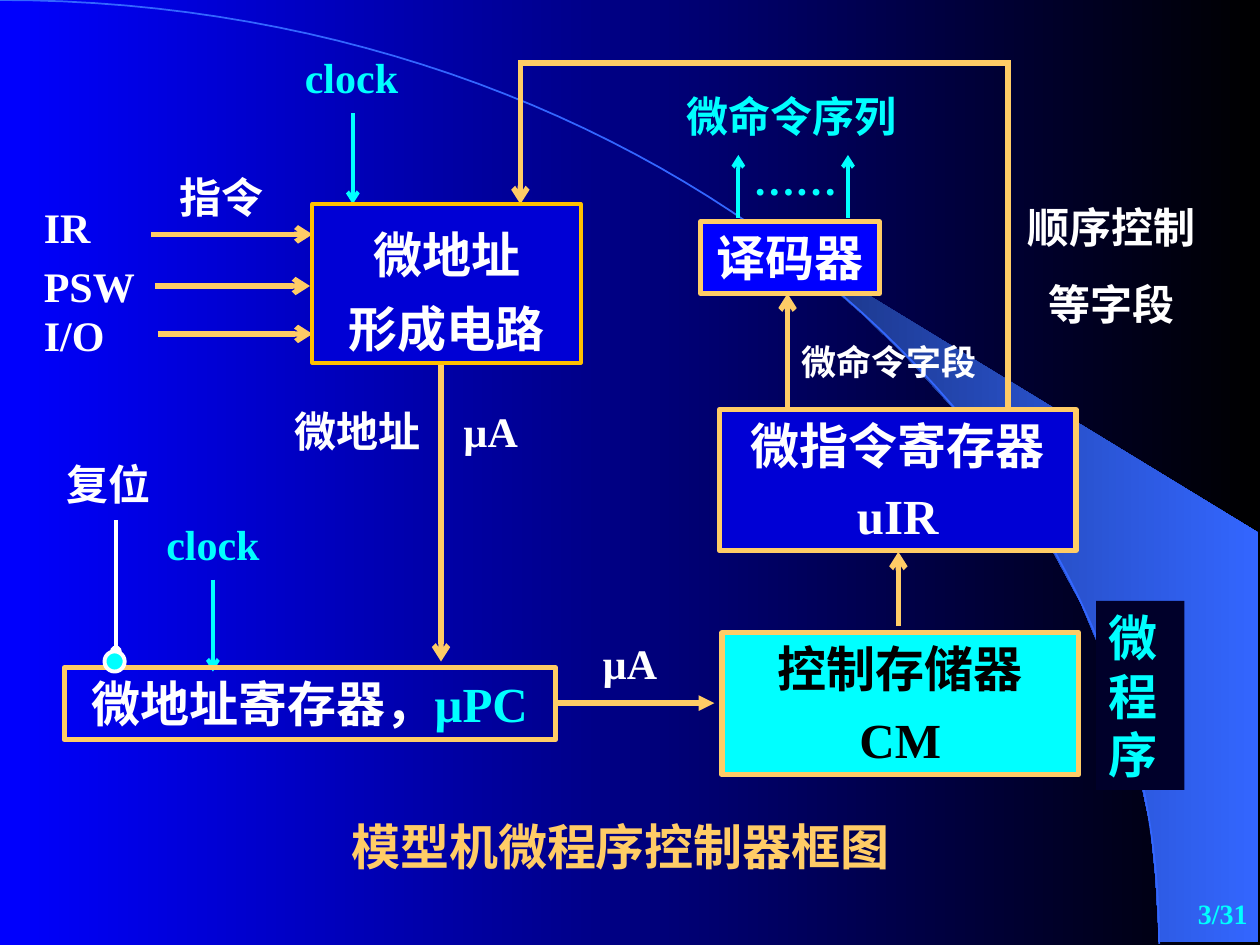
import pptx
import pptx.dml.color
import pptx.enum.shapes
import pptx.enum.text
import pptx.oxml
import pptx.oxml.ns
import pptx.util
from pptx.util import Inches

GOLD, CYAN, WHITE, NAVY = "FFCC66", "00FFFF", "FFFFFF", "0000D5"
LATIN, CHINESE = "Times New Roman", "Noto Sans CJK SC"
LEFT, CENTER, RIGHT = (pptx.enum.text.PP_ALIGN.LEFT, pptx.enum.text.PP_ALIGN.CENTER,
                       pptx.enum.text.PP_ALIGN.RIGHT)
ANCHOR = pptx.enum.text.MSO_ANCHOR
SHAPE = pptx.enum.shapes.MSO_SHAPE


def color(value):
    return pptx.dml.color.RGBColor.from_string(value)


def write(box, paragraphs, size, align, gap=0, line_spacing=None, anchor=ANCHOR.TOP):
    """Fill a box with paragraphs, each a list of (text, color) spans."""
    frame = box.text_frame
    frame.word_wrap = True
    frame.vertical_anchor = anchor
    for index, spans in enumerate(paragraphs):
        para = frame.paragraphs[0] if index == 0 else frame.add_paragraph()
        layout = {"alignment": align, "line_spacing": line_spacing,
                  "space_before": pptx.util.Pt(gap if index else 0)}
        for name, value in layout.items():
            setattr(para, name, value)
        for text, text_color in spans:
            span = para.add_run()
            span.text = text
            chinese = any(ord(letter) > 0x2E80 for letter in text)
            style = {"name": CHINESE if chinese else LATIN,
                     "size": pptx.util.Pt(size), "bold": True}
            for name, value in style.items():
                setattr(span.font, name, value)
            span.font.color.rgb = color(text_color)
            if chinese:
                east_asian = pptx.oxml.parse_xml(
                    f'<a:ea {pptx.oxml.ns.nsdecls("a")} typeface="{CHINESE}"/>')
                span.font._element.append(east_asian)


deck = pptx.Presentation()
deck.slide_width, deck.slide_height = Inches(10), Inches(7.5)
page = deck.slides.add_slide(deck.slide_layouts[6])
shapes = page.shapes

# Backdrop: gradient, light beam and large arc
beam_points = [
    (9.2, 7.48), (9.99, 7.48), (9.99, 4.23), (5.89, 1.73), (6.24, 1.99), (6.53, 2.22),
    (6.85, 2.5), (7.16, 2.8), (7.62, 3.3), (8.03, 3.84), (8.32, 4.31), (8.58, 4.79),
    (8.78, 5.27), (8.93, 5.72), (9.03, 6.09), (9.13, 6.56), (9.17, 6.96)]
arc_points = []
for step in range(61):
    t = step / 60
    s = 1 - t
    arc_points.append((3 * s * s * t * 5.08 + 3 * s * t * t * 9.2 + t ** 3 * 9.2,
                       3 * s * t * t * 3.35 + t ** 3 * 7.49))

outlines = []
for points, closed in [(beam_points, True), (arc_points, False)]:
    corners = [(Inches(x), Inches(y)) for x, y in points]
    builder = shapes.build_freeform(*corners[0])
    builder.add_line_segments(corners[1:], close=closed)
    outline = builder.convert_to_shape()
    outline.shadow.inherit = False
    outlines.append(outline)
beam, arc = outlines
beam.line.fill.background()
arc.fill.background()
arc.line.color.rgb = color("3366FF")
arc.line.width = pptx.util.Pt(1)

for fill, ends in [(page.background.fill, ("0000FF", "000000")),
                   (beam.fill, ("182F76", "3366FF"))]:
    fill.gradient()
    fill.gradient_angle = 0
    for stop, end in zip(fill.gradient_stops, ends):
        stop.color.rgb = color(end)

# Connections: start, end, color, width, arrowhead end, arrowhead type
connections = [
    ((7.13, 4.97), (7.13, 4.38), GOLD, 3, "tail", "arrow"),
    ((6.25, 3.25), (6.25, 2.33), GOLD, 3, "tail", "arrow"),
    ((8, 3.25), (8, 0.48), GOLD, 3, None, None),
    ((4.13, 0.5), (8, 0.5), GOLD, 3, None, None),
    ((4.13, 0.48), (4.13, 1.62), GOLD, 3, "tail", "arrow"),
    ((5.86, 1.73), (5.86, 1.23), CYAN, 2.25, "tail", "arrow"),
    ((6.73, 1.73), (6.73, 1.23), CYAN, 2.25, "tail", "arrow"),
    ((4.42, 5.58), (5.67, 5.58), GOLD, 3, "tail", "triangle"),
    ((1.2, 1.86), (2.48, 1.86), GOLD, 3, "tail", "arrow"),
    ((1.23, 2.27), (2.46, 2.27), GOLD, 3, "tail", "arrow"),
    ((1.25, 2.65), (2.48, 2.65), GOLD, 3, "tail", "arrow"),
    ((3.5, 2.87), (3.5, 5.25), GOLD, 3, "tail", "arrow"),
    ((2.8, 0.9), (2.8, 1.62), CYAN, 2.25, "tail", "arrow"),
    ((1.69, 4.6), (1.69, 5.33), CYAN, 2.25, "tail", "arrow"),
    ((0.92, 5.17), (0.92, 4.13), WHITE, 2.25, "head", "oval"),
]
for start, end, line_color, width, arrow_end, arrow_type in connections:
    link = shapes.add_connector(pptx.enum.shapes.MSO_CONNECTOR.STRAIGHT,
                                *[Inches(value) for value in start + end])
    link.line.color.rgb = color(line_color)
    link.line.width = pptx.util.Pt(width)
    if arrow_end:
        link.line._get_or_add_ln().append(pptx.oxml.parse_xml(
            f'<a:{arrow_end}End {pptx.oxml.ns.nsdecls("a")} type="{arrow_type}"/>'))
    link._element.spPr.append(
        pptx.oxml.parse_xml(f'<a:effectLst {pptx.oxml.ns.nsdecls("a")}/>'))

# Blocks: place, shape, fill, line color, line width, paragraphs, alignment, gap, line spacing
blocks = [
    ((0.51, 5.3, 3.9, 0.57), SHAPE.RECTANGLE, None, GOLD, 3,
     [[("微地址寄存器，", WHITE), ("µPC", CYAN)]], CENTER, 0, None),
    ((5.56, 1.76, 1.42, 0.57), SHAPE.RECTANGLE, "0000FF", GOLD, 3,
     [[("译码器", WHITE)]], CENTER, 0, None),
    ((5.71, 3.25, 2.83, 1.12), SHAPE.RECTANGLE, NAVY, GOLD, 3,
     [[("微指令寄存器", WHITE)], [("uIR", WHITE)]], CENTER, 6, None),
    ((5.73, 5.02, 2.83, 1.13), SHAPE.RECTANGLE, CYAN, GOLD, 3,
     [[("控制存储器", "000000")], [("CM", "000000")]], CENTER, 7, None),
    ((2.48, 1.62, 2.13, 1.26), SHAPE.RECTANGLE, NAVY, "FFC000", 2.25,
     [[("微地址", WHITE)], [("形成电路", WHITE)]], CENTER, 0, 1.25),
    ((8.7, 4.77, 0.7, 1.5), SHAPE.RECTANGLE, "00002A", None, 0,
     [[("微程序", CYAN)]], LEFT, 0, None),
    ((0.83, 5.17, 0.16, 0.16), SHAPE.OVAL, CYAN, WHITE, 2.25, [], CENTER, 0, None),
]
for place, kind, fill_color, line_color, width, paragraphs, align, gap, spacing in blocks:
    block = shapes.add_shape(kind, *[Inches(value) for value in place])
    block.shadow.inherit = False
    if fill_color:
        block.fill.solid()
        block.fill.fore_color.rgb = color(fill_color)
    else:
        block.fill.background()
    if line_color:
        block.line.color.rgb = color(line_color)
        block.line.width = pptx.util.Pt(width)
    else:
        block.line.fill.background()
    write(block, paragraphs, 28, align, gap, spacing)

# Labels: place, lines, size, color, alignment
labels = [
    ((2.69, 6.43, 4.75, 0.57), ["模型机微程序控制器框图"], 28, GOLD, LEFT),
    ((8, 1.55, 1.65, 1.11), ["顺序控制", "等字段"], 24, WHITE, CENTER),
    ((5.88, 1.17, 0.92, 0.5), ["……"], 24, CYAN, LEFT),
    ((5.35, 0.67, 1.92, 0.5), ["微命令序列"], 24, CYAN, LEFT),
    ((6.26, 2.65, 1.92, 0.44), ["微命令字段"], 20, WHITE, LEFT),
    ((0.25, 1.55, 1, 0.5), ["IR"], 24, WHITE, LEFT),
    ((0.25, 2.02, 1.17, 0.5), ["PSW"], 24, WHITE, LEFT),
    ((0.25, 2.41, 0.81, 0.5), ["I/O"], 24, WHITE, LEFT),
    ((0.92, 1.31, 1.67, 0.5), ["指令"], 24, WHITE, CENTER),
    ((2.24, 0.36, 1.1, 0.5), ["clock"], 24, CYAN, CENTER),
    ((1.14, 4.07, 1.1, 0.5), ["clock"], 24, CYAN, CENTER),
    ((2.24, 3.17, 1.28, 0.5), ["微地址"], 24, WHITE, LEFT),
    ((3.58, 3.17, 0.71, 0.5), ["µA"], 24, WHITE, LEFT),
    ((4.45, 5.01, 1.1, 0.5), ["µA"], 24, WHITE, CENTER),
    ((0.43, 3.59, 1.02, 0.5), ["复位"], 24, WHITE, LEFT),
]
for place, lines, size, text_color, align in labels:
    label = shapes.add_textbox(*[Inches(value) for value in place])
    write(label, [[(line, text_color)] for line in lines], size, align, gap=15)

page_number = shapes.add_textbox(Inches(7.92), Inches(7), Inches(2.08), Inches(0.5))
write(page_number, [[("3/31", CYAN)]], 16, RIGHT, anchor=ANCHOR.MIDDLE)

deck.save("out.pptx")
